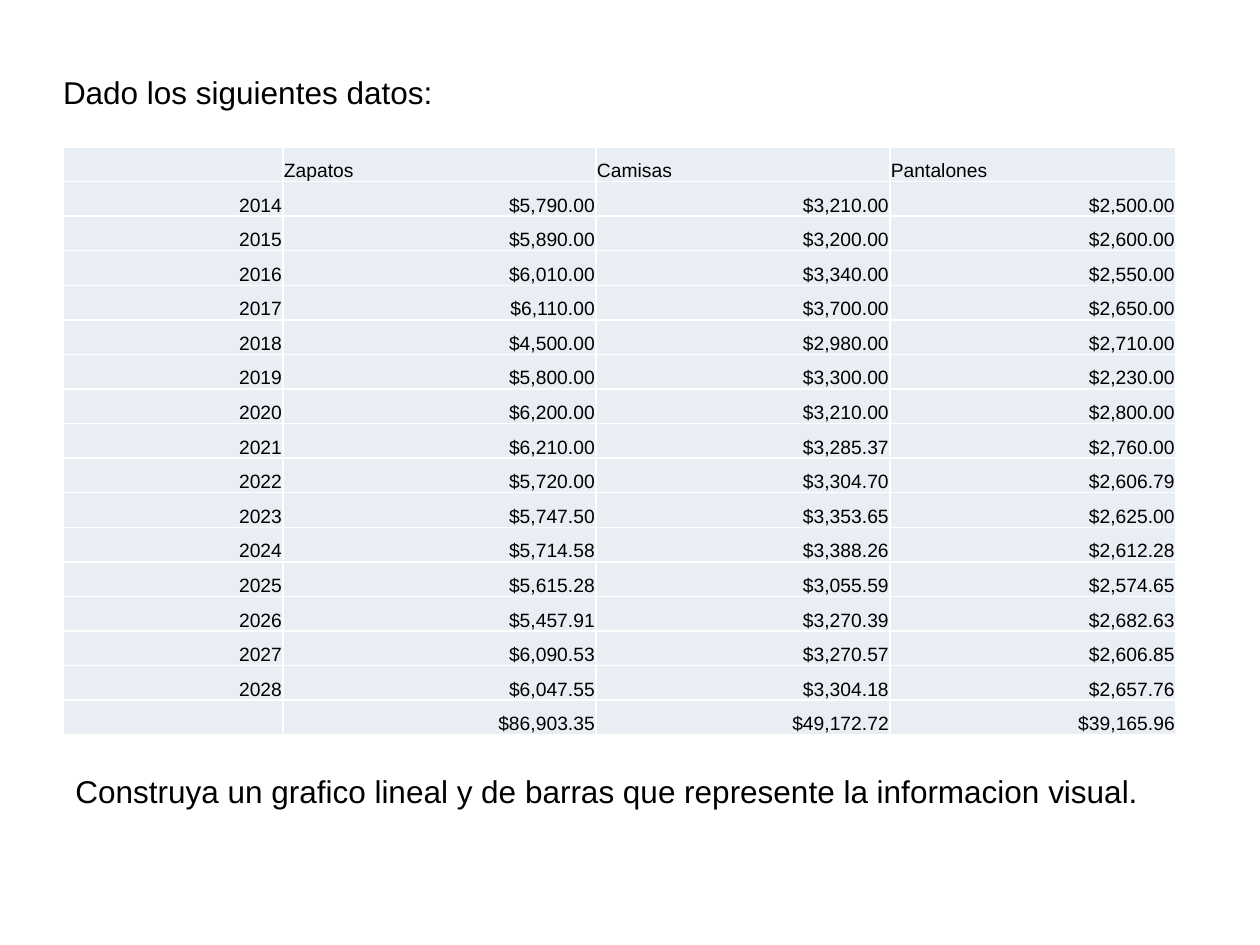
from dataclasses import dataclass

from pptx import Presentation
from pptx.dml.color import RGBColor
from pptx.enum.text import MSO_ANCHOR, MSO_AUTO_SIZE, PP_ALIGN
from pptx.oxml import parse_xml
from pptx.oxml.ns import nsdecls
from pptx.util import Emu, Pt

PX = 914400 / 126


@dataclass(frozen=True)
class Theme:
    font: str = "Arial"
    ink: str = "000000"
    cell: str = "E9EDF4"
    rule: str = "FFFFFF"
    rule_width: int = Pt(1)
    text_size: int = 18
    table_size: int = 11


THEME = Theme()
COLUMN_WIDTHS = [220, 313, 294, 286]
HEADER = ["", "Zapatos", "Camisas", "Pantalones"]
FIRST_YEAR = 2014
SALES = [
    (5790, 3210, 2500),
    (5890, 3200, 2600),
    (6010, 3340, 2550),
    (6110, 3700, 2650),
    (4500, 2980, 2710),
    (5800, 3300, 2230),
    (6200, 3210, 2800),
    (6210, 3285.37, 2760),
    (5720, 3304.70, 2606.79),
    (5747.50, 3353.65, 2625),
    (5714.58, 3388.26, 2612.28),
    (5615.28, 3055.59, 2574.65),
    (5457.91, 3270.39, 2682.63),
    (6090.53, 3270.57, 2606.85),
    (6047.55, 3304.18, 2657.76),
]
TOTALS = (86903.35, 49172.72, 39165.96)


def px(length):
    return Emu(round(length * PX))


def place(shape, box):
    shape.left, shape.top, shape.width, shape.height = map(px, box)


def add_text(para, text, size, align=PP_ALIGN.LEFT):
    para.alignment = align
    span = para.add_run()
    span.text = text
    span.font.name = THEME.font
    span.font.size = Pt(size)
    span.font.color.rgb = RGBColor.from_string(THEME.ink)


def add_heading(page, box, text):
    title = page.shapes.title
    place(title, box)
    frame = title.text_frame
    frame.margin_left = frame.margin_right = 0
    frame.margin_top = frame.margin_bottom = 0
    frame.vertical_anchor = MSO_ANCHOR.TOP
    frame.auto_size = MSO_AUTO_SIZE.NONE
    add_text(frame.paragraphs[0], text, THEME.text_size)


def add_instruction(page, box, text):
    frame = page.shapes.add_textbox(*map(px, box)).text_frame
    frame.word_wrap = True
    frame.auto_size = MSO_AUTO_SIZE.SHAPE_TO_FIT_TEXT
    add_text(frame.paragraphs[0], text, THEME.text_size)


def add_borders(cell):
    # Border elements come before the fill in the cell properties
    properties = cell._tc.get_or_add_tcPr()
    for index, side in enumerate(("lnL", "lnR", "lnT", "lnB")):
        properties.insert(index, parse_xml(
            f'<a:{side} {nsdecls("a")} w="{THEME.rule_width}"><a:solidFill>'
            f'<a:srgbClr val="{THEME.rule}"/></a:solidFill></a:{side}>'))


def fill_cell(cell, text, align):
    cell.fill.solid()
    cell.fill.fore_color.rgb = RGBColor.from_string(THEME.cell)
    add_borders(cell)
    cell.margin_left = cell.margin_right = cell.margin_top = px(1)
    cell.margin_bottom = 0
    cell.vertical_anchor = MSO_ANCHOR.BOTTOM
    para = cell.text_frame.paragraphs[0]
    if text:
        add_text(para, text, THEME.table_size, align)
    else:
        # Keeps an empty cell from growing its row
        para._p.append(parse_xml(
            f'<a:endParaRPr {nsdecls("a")} sz="{THEME.table_size * 100}"/>'))


def add_sales_table(page, box):
    def money_row(label, amounts):
        return [label] + [f"${amount:,.2f}" for amount in amounts]

    rows = [HEADER]
    rows += [money_row(str(year), amounts)
             for year, amounts in enumerate(SALES, FIRST_YEAR)]
    rows.append(money_row("", TOTALS))

    table = page.shapes.add_table(
        len(rows), len(HEADER), *map(px, box)).table
    table.first_row = table.horz_banding = False
    for column, width in zip(table.columns, COLUMN_WIDTHS):
        column.width = px(width)
    for row_index, row in enumerate(rows):
        table.rows[row_index].height = px(box[3] / len(rows))
        align = PP_ALIGN.RIGHT if row_index else PP_ALIGN.LEFT
        for column_index, text in enumerate(row):
            fill_cell(table.cell(row_index, column_index), text, align)


def main():
    deck = Presentation()
    deck.slide_width, deck.slide_height = px(1260), px(945)
    page = deck.slides.add_slide(deck.slide_layouts[5])

    add_heading(page, (63, 73, 1134, 63), "Dado los siguientes datos:")
    add_sales_table(page, (63, 147, sum(COLUMN_WIDTHS), 588))
    add_instruction(
        page, (63, 766, 1134, 50),
        "Construya un grafico lineal y de barras que represente "
        "la informacion visual.")

    deck.save("out.pptx")


if __name__ == "__main__":
    main()
